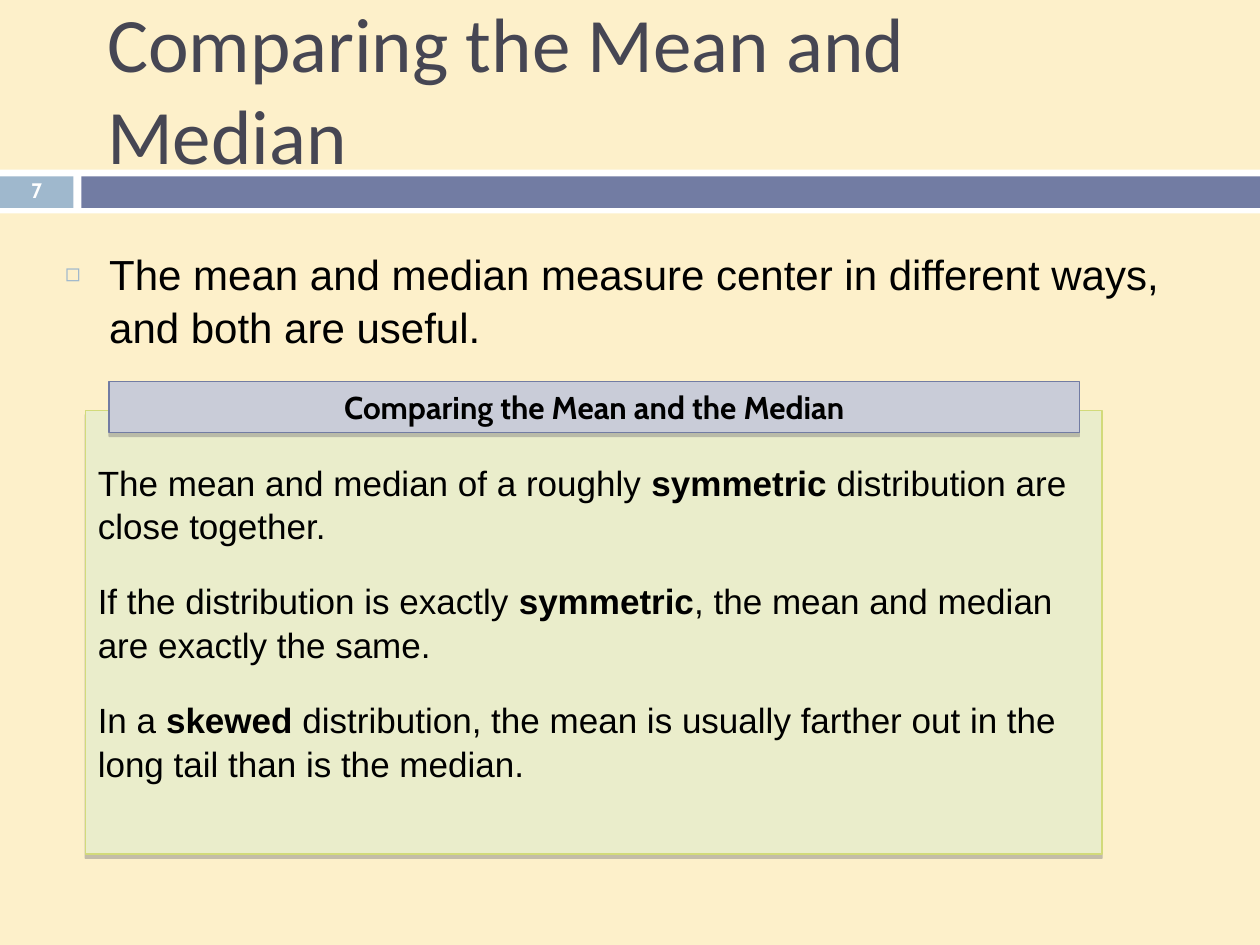
from lxml.etree import SubElement
from pptx import Presentation
from pptx.dml.color import RGBColor
from pptx.enum.shapes import MSO_SHAPE
from pptx.enum.text import MSO_ANCHOR, MSO_AUTO_SIZE, PP_ALIGN
from pptx.oxml.ns import qn
from pptx.util import Pt

HUES = {
    "page": "FDF0CA", "white": "FFFFFF", "black": "000000", "ink": "464653",
    "sky": "9FB8CD", "slate": "727CA3", "mist": "C9CCD8",
    "leaf": "EAEDCB", "lime": "D2DA7A", "shade": "808080",
}


def hue(name):
    return RGBColor.from_string(HUES[name])


def write(frame, lines, font="Arial", size=20, color="black", bold=False,
          align=PP_ALIGN.LEFT, anchor=MSO_ANCHOR.TOP, inset=(7.2, 3.6, 7.2, 3.6),
          after=0, pitch=1.0, mark=None):
    """Fill a text frame, one paragraph a line; *stars* enclose bold words."""
    frame.word_wrap = True
    frame.auto_size = MSO_AUTO_SIZE.NONE
    frame.vertical_anchor = anchor
    frame.margin_left, frame.margin_top, frame.margin_right, frame.margin_bottom = map(Pt, inset)
    for i, line in enumerate(lines):
        para = frame.add_paragraph() if i else frame.paragraphs[0]
        if mark:
            bullet(para, mark)
        para.alignment = align
        para.line_spacing = pitch
        para.space_before, para.space_after = Pt(0), Pt(after)
        for j, part in enumerate(line.split("*")):
            run = para.add_run()
            run.text = part
            run.font.name, run.font.size = font, Pt(size)
            run.font.bold = bold or j % 2 == 1
            run.font.color.rgb = hue(color)


def bullet(para, mark, indent=25.2):
    props = para._p.get_or_add_pPr()
    props.set("marL", str(Pt(indent)))
    props.set("indent", str(-Pt(indent)))
    tint = SubElement(props, qn("a:buClr"))
    SubElement(tint, qn("a:srgbClr"), val=HUES["sky"])
    SubElement(props, qn("a:buSzPct"), val="60000")
    SubElement(props, qn("a:buChar"), char=mark)


class Deck:
    def __init__(self):
        self.show = Presentation()
        self.show.slide_width, self.show.slide_height = Pt(720), Pt(540)
        self.slide = self.show.slides.add_slide(self.show.slide_layouts[1])
        fill = self.slide.background.fill
        fill.solid()
        fill.fore_color.rgb = hue("page")

    def holder(self, index, box, lines, **style):
        shape = self.slide.placeholders[index]
        shape.left, shape.top, shape.width, shape.height = map(Pt, box)
        write(shape.text_frame, lines, **style)

    def label(self, box, lines, **style):
        shape = self.slide.shapes.add_textbox(*map(Pt, box))
        write(shape.text_frame, lines, **style)

    def bar(self, box, color):
        shape = self.slide.shapes.add_shape(MSO_SHAPE.RECTANGLE, *map(Pt, box))
        shape.shadow.inherit = False
        shape.fill.solid()
        shape.fill.fore_color.rgb = hue(color)
        shape.line.fill.background()
        return shape

    def panel(self, box, color, edge, lines, **style):
        shape = self.bar(box, color)
        shape.line.color.rgb = hue(edge)
        shape.line.width = Pt(0.79)
        # Drop shadow straight down
        effects = shape._element.spPr.find(qn("a:effectLst"))
        drop = SubElement(effects, qn("a:outerShdw"), blurRad="0", dist=str(Pt(2.4)),
                          dir="5400000", algn="t", rotWithShape="0")
        tint = SubElement(drop, qn("a:srgbClr"), val=HUES["shade"])
        SubElement(tint, qn("a:alpha"), val="45000")
        write(shape.text_frame, lines, **style)


def main():
    deck = Deck()

    # Title and lead point
    deck.holder(0, (54, 12.5, 612, 75.5), ["Comparing the Mean and Median"],
                font="Calibri", size=44, color="ink", anchor=MSO_ANCHOR.MIDDLE,
                inset=(7.2, 3.6, 14.4, 3.6))
    deck.holder(1, (30, 137.5, 672, 92),
                ["The mean and median measure center in different ways, and both are useful."],
                size=24, pitch=1.04, mark="◻")

    # Divider band with the page number
    deck.bar((0, 97, 720, 25), "white")
    deck.bar((0, 100.8, 42, 18), "sky")
    deck.bar((46.5, 100.8, 673.5, 18), "slate")
    deck.label((0, 100, 42, 19.5), ["7"], font="Cabin", size=12, color="white", bold=True,
               align=PP_ALIGN.CENTER, anchor=MSO_ANCHOR.MIDDLE, pitch=0.8)

    # Summary panel and its heading
    deck.panel((48.8, 234.5, 581, 253.5), "leaf", "lime", [
        "The mean and median of a roughly *symmetric* distribution are close together.",
        "If the distribution is exactly *symmetric*, the mean and median are exactly the same.",
        "In a *skewed* distribution, the mean is usually farther out in the long tail "
        "than is the median.",
    ], after=18, pitch=1.04, inset=(7.2, 28, 7.2, 3.6))
    deck.panel((62.4, 218, 554.4, 29), "mist", "slate", ["Comparing the Mean and the Median"],
               font="Cabin", size=18, bold=True, align=PP_ALIGN.CENTER,
               anchor=MSO_ANCHOR.MIDDLE)

    deck.show.save("out.pptx")


if __name__ == "__main__":
    main()
